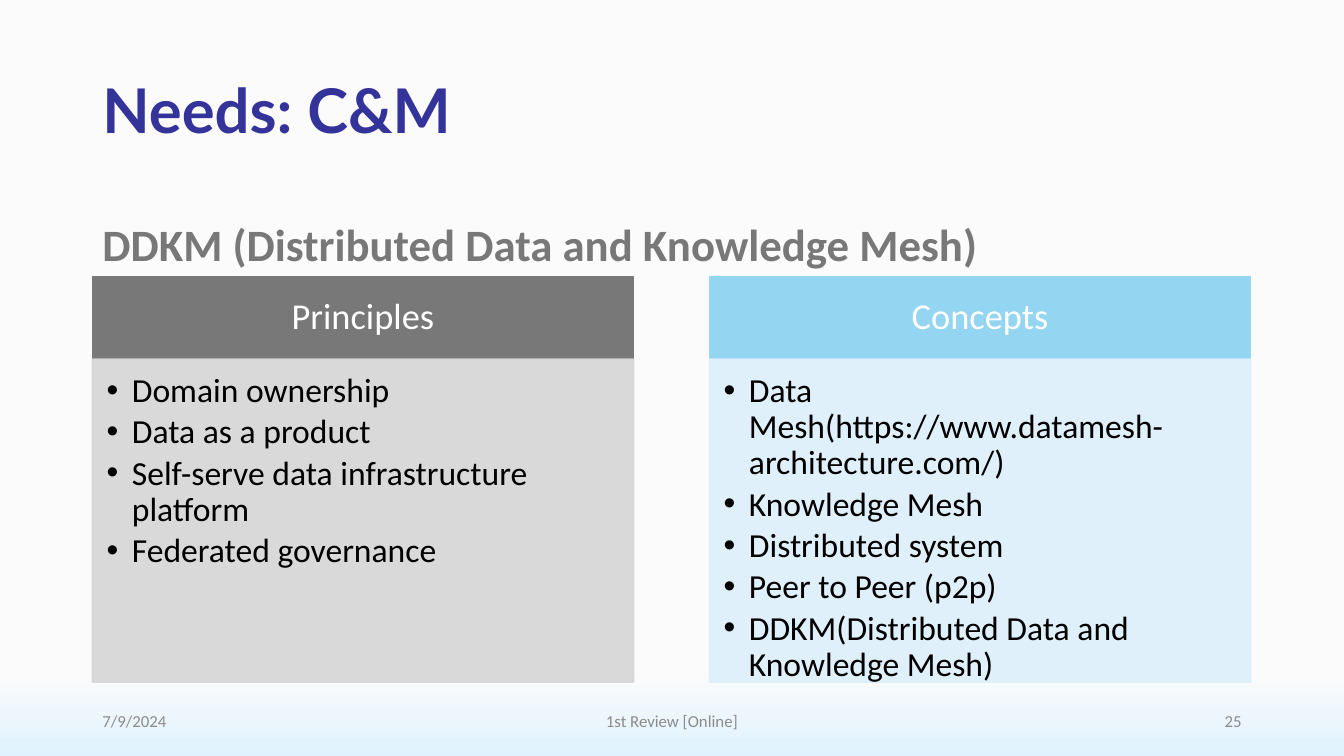
from lxml.etree import SubElement
from pptx import Presentation
from pptx.dml.color import RGBColor
from pptx.enum.shapes import MSO_SHAPE
from pptx.enum.text import MSO_ANCHOR, MSO_AUTO_SIZE, PP_ALIGN
from pptx.oxml.ns import qn
from pptx.util import Cm, Pt

NAVY = RGBColor(0x33, 0x33, 0x99)
GREY = RGBColor(0x79, 0x78, 0x78)
SILVER = RGBColor(0xD7, 0xD6, 0xD6)
BLUE = RGBColor(0x94, 0xD5, 0xF1)
PALE = RGBColor(0xDC, 0xEF, 0xFA)
SMOKE = RGBColor(0x8C, 0x8C, 0x8C)
PAPER = RGBColor(0xFB, 0xFB, 0xFB)
SKY = RGBColor(0xDF, 0xF2, 0xFD)
WHITE = RGBColor(0xFF, 0xFF, 0xFF)
BLACK = RGBColor(0, 0, 0)

LEFT, WIDE = 2.33, 29.21
COL, STEP = 13.64, 15.55
HEAD_TOP, HEAD_TALL, LIST_TALL = 6.98, 2.07, 8.14

PANELS = [
    ("Principles", GREY, SILVER, [
        "Domain ownership",
        "Data as a product",
        "Self-serve data infrastructure platform",
        "Federated governance",
    ]),
    ("Concepts", BLUE, PALE, [
        "Data Mesh(https://www.datamesh-architecture.com/)",
        "Knowledge Mesh",
        "Distributed system",
        "Peer to Peer (p2p)",
        "DDKM(Distributed Data and Knowledge Mesh)",
    ]),
]


def write(shape, *lines, size, color, font="Calibri", bold=False, align=PP_ALIGN.LEFT,
          anchor=MSO_ANCHOR.MIDDLE, pads=(0.25, 0.13, 0.25, 0.13), gap=0, space=0.9,
          bullet=False):
    """Fill a shape with formatted paragraphs."""
    frame = shape.text_frame
    frame.word_wrap = True
    frame.auto_size = MSO_AUTO_SIZE.NONE
    frame.vertical_anchor = anchor
    (frame.margin_left, frame.margin_top,
     frame.margin_right, frame.margin_bottom) = map(Cm, pads)
    for index, line in enumerate(lines):
        para = frame.add_paragraph() if index else frame.paragraphs[0]
        para.alignment = align
        para.line_spacing = space
        para.space_before = Pt(0)
        para.space_after = Pt(gap)
        run = para.add_run()
        run.text = line
        run.font.name = font
        run.font.size = Pt(size)
        run.font.bold = bold
        run.font.color.rgb = color
        mark(para, bullet)


def mark(para, bullet):
    """Set or clear the bullet and hanging indent of a paragraph."""
    props = para._p.get_or_add_pPr()
    props.set("marL", str(Cm(0.635) if bullet else 0))
    props.set("indent", str(-Cm(0.635) if bullet else 0))
    if bullet:
        SubElement(props, qn("a:buFont")).set("typeface", "Arial")
        SubElement(props, qn("a:buChar")).set("char", "•")
    else:
        SubElement(props, qn("a:buNone"))


def place(shape, left, top, width, height):
    """Move and size a shape in centimetres."""
    shape.left, shape.top = Cm(left), Cm(top)
    shape.width, shape.height = Cm(width), Cm(height)


def box(slide, left, top, width, height, color, alpha=100):
    """Add a flat rectangle with a matching outline."""
    rect = slide.shapes.add_shape(
        MSO_SHAPE.RECTANGLE, Cm(left), Cm(top), Cm(width), Cm(height))
    rect.shadow.inherit = False
    rect.fill.solid()
    rect.fill.fore_color.rgb = color
    rect.line.color.rgb = color
    rect.line.width = Pt(1)
    if alpha < 100:
        for tint in list(rect._element.spPr.iter(qn("a:srgbClr"))):
            SubElement(tint, qn("a:alpha")).set("val", str(alpha * 1000))
    return rect


def panel(slide, left, name, dark, light, items):
    """Add a heading bar with its bulleted list below."""
    head = box(slide, left, HEAD_TOP, COL, HEAD_TALL, dark)
    write(head, name, size=26, color=WHITE, align=PP_ALIGN.CENTER,
          pads=(0.5, 0.3, 0.5, 0.3))
    body = box(slide, left, HEAD_TOP + HEAD_TALL, COL, LIST_TALL, light, alpha=90)
    write(body, *items, size=24, color=BLACK, anchor=MSO_ANCHOR.TOP,
          pads=(0.36, 0.36, 0.48, 0.53), gap=3.6, bullet=True)


def label(slide, left, width, text, align):
    """Add a small footer text."""
    note = slide.shapes.add_textbox(Cm(left), Cm(17.65), Cm(width), Cm(1.01))
    write(note, text, size=12, color=SMOKE, align=align, space=1.0)


def shade(slide):
    """Give the slide a vertical gradient background."""
    fill = slide.background.fill
    fill.gradient()
    fill.gradient_angle = 270
    for stop, color, spot in zip(fill.gradient_stops, (PAPER, SKY), (0.89, 1)):
        stop.color.rgb = color
        stop.position = spot


def main():
    """Build and save the slide."""
    deck = Presentation()
    deck.slide_width, deck.slide_height = Cm(33.87), Cm(19.05)
    slide = deck.slides.add_slide(deck.slide_layouts[1])
    shade(slide)

    title, body = slide.placeholders
    place(title, LEFT, 1.02, WIDE, 3.68)
    write(title, "Needs: C&M", size=44, color=NAVY, font="Lato", bold=True)
    place(body, LEFT, 4.67, WIDE, 2.29)
    write(body, "DDKM (Distributed Data and Knowledge Mesh)", size=32, color=GREY,
          bold=True, anchor=MSO_ANCHOR.BOTTOM)

    for index, parts in enumerate(PANELS):
        panel(slide, LEFT + index * STEP, *parts)

    label(slide, LEFT, 7.62, "7/9/2024", PP_ALIGN.LEFT)
    label(slide, 11.22, 11.43, "1st Review [Online]", PP_ALIGN.CENTER)
    label(slide, 23.92, 7.62, "25", PP_ALIGN.RIGHT)
    deck.save("out.pptx")


if __name__ == "__main__":
    main()
